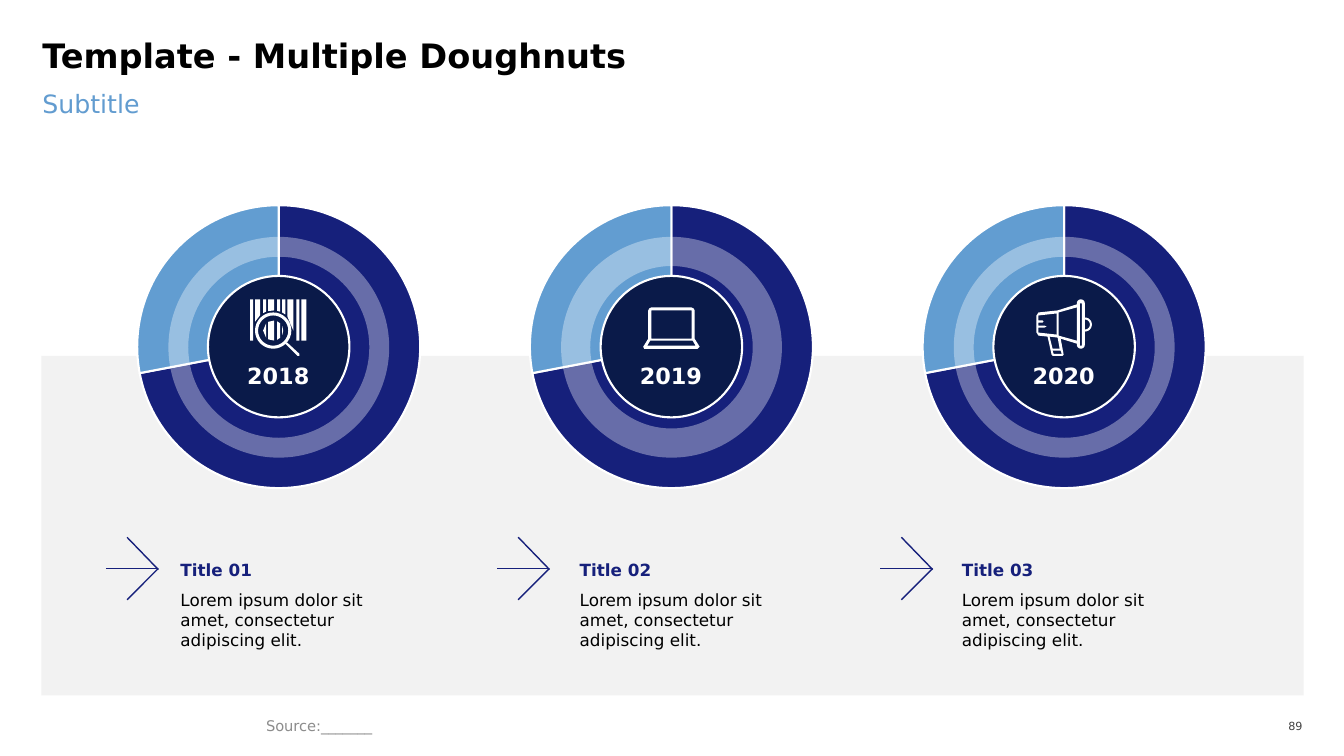
from math import cos, pi, sin, sqrt

from lxml import etree
from pptx import Presentation
from pptx.chart.data import CategoryChartData
from pptx.dml.color import RGBColor
from pptx.enum.chart import XL_CHART_TYPE as ChartType
from pptx.enum.shapes import MSO_CONNECTOR as Connector, MSO_SHAPE as Shape
from pptx.enum.text import MSO_ANCHOR as Anchor, MSO_AUTO_SIZE as AutoSize, PP_ALIGN as Align
from pptx.oxml import parse_xml
from pptx.oxml.ns import nsdecls, qn
from pptx.util import Inches, Pt

FONT = "DejaVu Sans"
COLORS = {
    "navy": "16207B", "blue": "629DD1", "subtitle": "629CD0", "core": "0A1A49",
    "panel": "F2F2F2", "white": "FFFFFF", "black": "000000",
    "source": "8C8C8C", "number": "404040",
}
PITCH = 3.895  # distance between doughnuts
LENS = (2.71, 3.28)  # centre of the magnifier
BODY = "Lorem ipsum dolor sit amet, consectetur adipiscing elit."


def rgb(name):
    return RGBColor.from_string(COLORS[name])


def fill_plain(shape, color, opacity=None):
    shape.shadow.inherit = False
    shape.fill.solid()
    shape.fill.fore_color.rgb = rgb(color)
    shape.line.fill.background()
    if opacity is not None:
        srgb = shape._element.spPr.find(".//" + qn("a:srgbClr"))
        etree.SubElement(srgb, qn("a:alpha"), val=str(opacity * 1000))


def add_block(slide, kind, box, color, opacity=None):
    block = slide.shapes.add_shape(kind, *map(Inches, box))
    fill_plain(block, color, opacity)
    return block


def format_text(shape, text, size, color, bold=False, align=Align.LEFT,
                anchor=Anchor.TOP, insets=(0, 0, 0, 0), wrap=True, grow=False):
    frame = shape.text_frame
    frame.text = text
    frame.word_wrap = wrap
    frame.auto_size = AutoSize.SHAPE_TO_FIT_TEXT if grow else AutoSize.NONE
    frame.vertical_anchor = anchor
    (frame.margin_left, frame.margin_top,
     frame.margin_right, frame.margin_bottom) = map(Inches, insets)
    paragraph = frame.paragraphs[0]
    paragraph.alignment = align
    font = paragraph.runs[0].font
    font.name, font.size, font.bold = FONT, Pt(size), bold
    font.color.rgb = rgb(color)


def add_text(slide, box, *args, **options):
    format_text(slide.shapes.add_textbox(*map(Inches, box)), *args, **options)


def add_doughnut(slide, left):
    data = CategoryChartData()
    data.categories = ["1", "2"]
    data.add_series("Series 1", (72, 28))
    box = map(Inches, (left, 1.88, 3.13, 3.12))
    chart = slide.shapes.add_chart(ChartType.DOUGHNUT, *box, data).chart
    chart.has_legend = chart.has_title = False
    chart.font.name, chart.font.size = FONT, Pt(10)
    chart.font.color.rgb = rgb("black")
    plot = chart.plots[0]
    plot.vary_by_categories = True
    for index, color in enumerate(("navy", "blue")):
        slice_format = plot.series[0].points[index].format
        slice_format.fill.solid()
        slice_format.fill.fore_color.rgb = rgb(color)
        slice_format.line.color.rgb = rgb("white")
        slice_format.line.width = Pt(1.5)
    # Hole size and plot area margins
    plot_area = chart._chartSpace.find(".//" + qn("c:plotArea"))
    plot_area.find(".//" + qn("c:holeSize")).set("val", "60")
    old_layout = plot_area.find(qn("c:layout"))
    if old_layout is not None:
        plot_area.remove(old_layout)
    plot_area.insert(0, parse_xml(
        f'<c:layout {nsdecls("c")}><c:manualLayout><c:layoutTarget val="inner"/>'
        '<c:xMode val="edge"/><c:yMode val="edge"/><c:x val="0.05"/><c:y val="0.05"/>'
        '<c:w val="0.9"/><c:h val="0.9"/></c:manualLayout></c:layout>'))


def add_icon(slide, outlines):
    first, *others = outlines
    builder = slide.shapes.build_freeform(*map(Inches, first[0]))
    builder.add_line_segments([tuple(map(Inches, p)) for p in first[1:]])
    for outline in others:
        builder.move_to(*map(Inches, outline[0]))
        builder.add_line_segments([tuple(map(Inches, p)) for p in outline[1:]])
    fill_plain(builder.convert_to_shape(), "white")


def arc(center, radius, start=0, end=360, steps=32):
    angles = [(start + (end - start) * i / steps) * pi / 180 for i in range(steps + 1)]
    return [(center[0] + radius * cos(a), center[1] + radius * sin(a)) for a in angles]


def rectangle(left, top, right, bottom):
    return [(left, top), (right, top), (right, bottom), (left, bottom)]


def barcode_outlines():
    def rim(x, radius):
        return sqrt(max(radius ** 2 - (x - LENS[0]) ** 2, 0))

    outlines = [rectangle(left, 2.97, right, 3.38)
                for left, right in ((2.48, 2.51), (2.94, 2.97), (2.99, 3.04))]
    for left, right in ((2.53, 2.58), (2.61, 2.64), (2.66, 2.72),
                        (2.75, 2.78), (2.8, 2.83), (2.85, 2.91)):
        outlines.append([(left, 2.97), (right, 2.97),
                         (right, LENS[1] - rim(right, 0.2)),
                         (left, LENS[1] - rim(left, 0.2))])
    for left, right in ((2.61, 2.64), (2.66, 2.72), (2.75, 2.78), (2.8, 2.81)):
        outlines.append([(x, LENS[1] + side * rim(x, 0.1)) for x, side in
                         ((left, -1), (right, -1), (right, 1), (left, 1))])
    handle = [(2.85, 3.4), (2.97, 3.51), (2.97, 3.53), (2.95, 3.53), (2.83, 3.41)]
    return outlines + [arc(LENS, 0.18), arc(LENS, 0.15), handle]


def laptop_outlines():
    return [
        [(6.38, 3.44), (6.43, 3.36), (6.43, 3.08), (6.44, 3.06), (6.46, 3.05),
         (6.86, 3.05), (6.88, 3.06), (6.89, 3.08), (6.89, 3.36), (6.94, 3.44),
         (6.92, 3.46), (6.39, 3.46)],
        rectangle(6.46, 3.08, 6.86, 3.36),
        [(6.42, 3.43), (6.45, 3.38), (6.87, 3.38), (6.9, 3.43)],
    ]


def megaphone_outlines():
    ear = (10.76, 3.22)
    return [
        [*arc((10.72, 3.01), 0.04, 180, 360, 8), *arc(ear, 0.07, -90, 90, 12),
         *arc((10.72, 3.42), 0.04, 0, 180, 8), (10.68, 3.41), (10.52, 3.36),
         (10.55, 3.52), (10.54, 3.53), (10.44, 3.53), (10.43, 3.52), (10.39, 3.34),
         (10.3, 3.33), (10.28, 3.3), (10.28, 3.13), (10.3, 3.1), (10.49, 3.08),
         (10.68, 3.02)],
        arc(ear, 0.05, -90, 90, 12),
        rectangle(10.71, 3.01, 10.73, 3.43),
        [(10.68, 3.38), (10.5, 3.33), (10.5, 3.1), (10.68, 3.05)],
        [(10.52, 3.48), (10.53, 3.51), (10.45, 3.51), (10.44, 3.48)],
        [(10.44, 3.46), (10.41, 3.34), (10.49, 3.35), (10.51, 3.46)],
        [(10.3, 3.3), (10.3, 3.25), (10.36, 3.25), (10.38, 3.24), (10.36, 3.23),
         (10.3, 3.23), (10.3, 3.2), (10.34, 3.2), (10.35, 3.19), (10.34, 3.18),
         (10.3, 3.18), (10.3, 3.13), (10.48, 3.11), (10.48, 3.32)],
    ]


def add_arrow(slide, left):
    arrow = slide.shapes.add_group_shape()
    for x1, y1, x2, y2 in ((0.21, 5.33, 0.52, 5.65), (0.52, 5.64, 0.21, 5.95),
                           (0, 5.64, 0.51, 5.64)):
        stroke = arrow.shapes.add_connector(
            Connector.STRAIGHT, *map(Inches, (left + x1, y1, left + x2, y2)))
        stroke.line.color.rgb = rgb("navy")
        stroke.line.width = Pt(1)
        etree.SubElement(stroke._element.spPr, qn("a:effectLst"))


def main():
    prs = Presentation()
    prs.slide_width, prs.slide_height = Inches(13.33), Inches(7.5)
    slide = prs.slides.add_slide(prs.slide_layouts[5])

    # Heading
    title = slide.shapes.title
    title.left, title.top, title.width, title.height = map(Inches, (0.42, 0.42, 12.49, 0.53))
    format_text(title, "Template - Multiple Doughnuts", 24, "black", bold=True)
    title.text_frame.paragraphs[0].line_spacing = 0.8
    add_text(slide, (0.42, 0.88, 12.49, 0.63), "Subtitle", 18, "subtitle")

    # Background panel
    add_block(slide, Shape.RECTANGLE, (0.41, 3.53, 12.52, 3.37), "panel")

    # Year columns: year, core position, ring thickness, icon, arrow and text left edges
    columns = (
        ("2018", (1.75, 2.41), 0.09, barcode_outlines(), 1.05, 1.79),
        ("2019", (5.63, 2.43), 0.132, laptop_outlines(), 4.93, 5.75),
        ("2020", (9.54, 2.45), 0.09, megaphone_outlines(), 8.73, 9.54),
    )
    for index, (year, core, thickness, icon, arrow_left, text_left) in enumerate(columns):
        shift = PITCH * index
        add_block(slide, Shape.OVAL, (*core, 2.03, 2.03), "core")
        add_doughnut(slide, 1.2 + shift)
        ring = add_block(slide, Shape.DONUT, (1.67 + shift, 2.35, 2.19, 2.19), "white", 35)
        ring.adjustments[0] = thickness
        add_icon(slide, icon)
        add_text(slide, (2.34 + shift, 3.54, 0.84, 0.37), year, 16, "white", bold=True,
                 align=Align.CENTER, anchor=Anchor.BOTTOM,
                 insets=(0.1, 0.05, 0.1, 0.05), wrap=False, grow=True)
        add_arrow(slide, arrow_left)
        caption = {"insets": (0, 0.05, 0.1, 0.05), "grow": True}
        add_text(slide, (text_left, 5.5, 1.39, 0.3), f"Title {index + 1:02}", 12, "navy",
                 bold=True, anchor=Anchor.BOTTOM, **caption)
        add_text(slide, (text_left, 5.8, 2.06, 0.91), BODY, 12, "black", **caption)

    # Footer
    add_text(slide, (2.54, 7.07, 6.39, 0.26), "Source:_______", 10.5, "source",
             anchor=Anchor.MIDDLE, insets=(0.1, 0.05, 0.1, 0.05))
    add_text(slide, (12.5, 7.09, 0.42, 0.23), "89", 8, "number",
             align=Align.RIGHT, anchor=Anchor.MIDDLE)
    prs.save("out.pptx")


if __name__ == "__main__":
    main()
